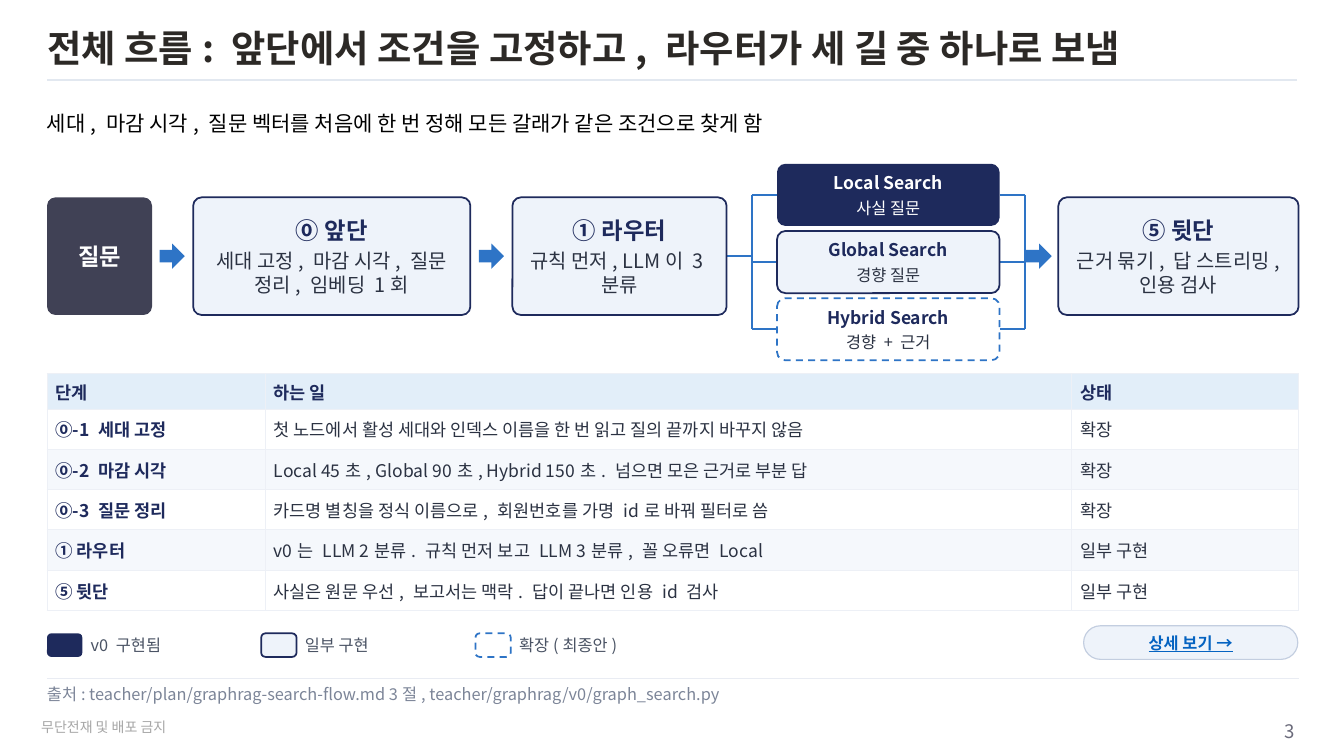
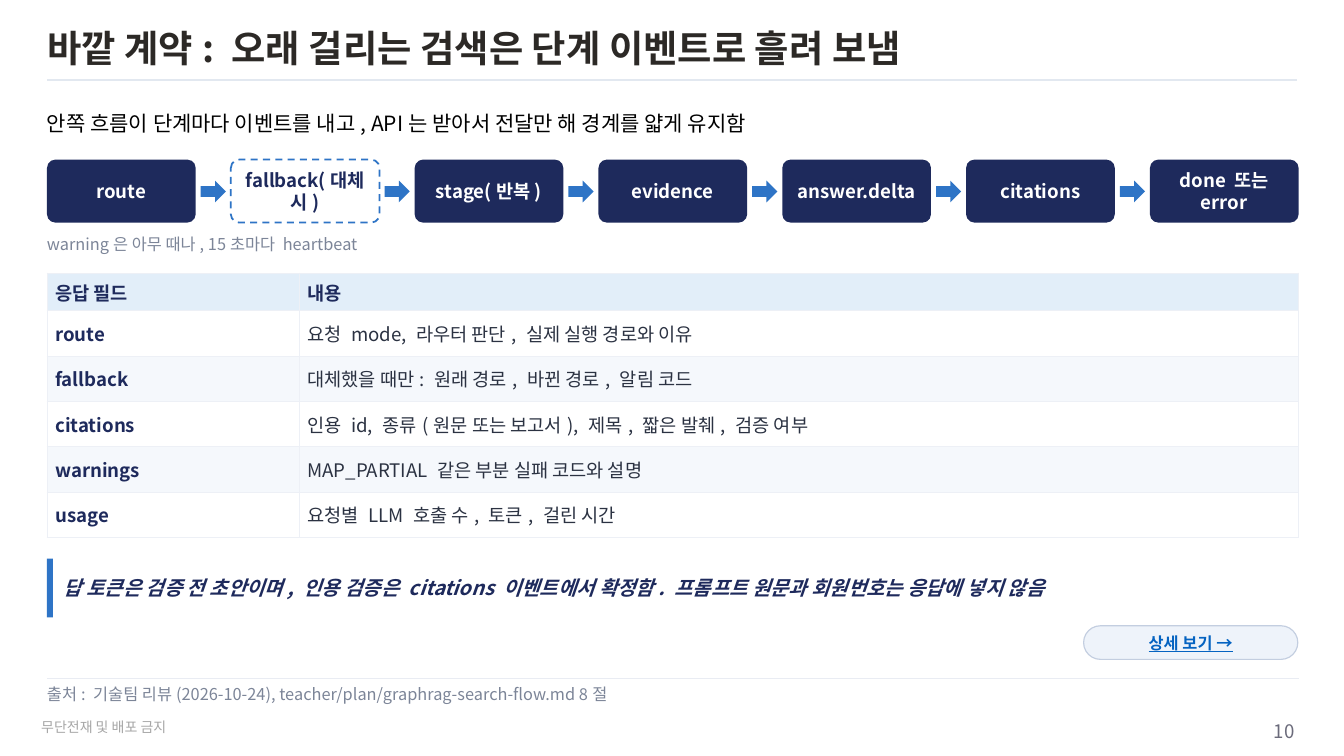
from dataclasses import dataclass
from typing import Optional

from lxml import etree
from pptx import Presentation
from pptx.dml.color import RGBColor
from pptx.enum.dml import MSO_LINE
from pptx.enum.shapes import MSO_CONNECTOR, MSO_SHAPE
from pptx.enum.text import MSO_ANCHOR, MSO_AUTO_SIZE, PP_ALIGN
from pptx.oxml.ns import qn
from pptx.util import Emu, Inches, Pt

COLORS = {
    "title": "2C2926", "black": "000000", "white": "FFFFFF", "navy": "1E2A5C",
    "blue": "2E74C6", "pale": "EEF3FA", "slate": "404155", "ink": "2B3242",
    "legend": "4A5364", "muted": "7C8598", "notice": "A6A6A6", "page": "6B6B7B",
    "link": "0563C1", "pill": "C3CEE0", "title_rule": "E2E8F0",
    "foot_rule": "E9ECF3", "header": "E2EEF9", "band": "F5F8FC", "cell": "EDF0F6",
}
FONT = "Noto Sans CJK KR"
GRID_COLS, GRID_ROWS = 16, 9
LEFT, WIDTH = 0.56, 14.9
RIGHT = LEFT + WIDTH

prs = Presentation()
prs.slide_width, prs.slide_height = Inches(16), Inches(9)


@dataclass(frozen=True)
class Box:
    """A rectangle in grid columns (left, width) and rows (top, height)."""
    left: float
    top: float
    width: float
    height: float

    @property
    def right(self) -> float:
        """Right edge in columns."""
        return self.left + self.width

    @property
    def middle(self) -> float:
        """Vertical middle in rows."""
        return self.top + self.height / 2

    def emu(self) -> tuple:
        """Position and size in slide units."""
        return col(self.left), row(self.top), col(self.width), row(self.height)


@dataclass(frozen=True)
class Type:
    """Character formatting."""
    size: float
    color: str
    bold: bool = False
    italic: bool = False
    underline: bool = False


@dataclass(frozen=True)
class Look:
    """Fill, outline and text colours of a card."""
    fill: str
    line: Optional[str]
    heading: str
    body: str
    dashed: bool = False
    weight: float = 1.5


@dataclass(frozen=True)
class Card:
    """A rounded card with a heading and an optional detail line."""
    box: Box
    look: Look
    heading: str
    detail: str = ""
    sizes: tuple = (20, 17)


@dataclass(frozen=True)
class Grid:
    """A table: column widths, row heights, text size and rows of text."""
    top: float
    widths: tuple
    header_height: float
    row_height: float
    size: float
    rows: tuple


DONE = Look("navy", None, "white", "white")
PARTIAL = Look("pale", "navy", "navy", "ink")
PLANNED = Look("white", "blue", "navy", "ink", dashed=True)
INPUT = Look("slate", None, "white", "white")
PILL = Look("pale", "pill", "link", "link", weight=1)


def col(value: float) -> Emu:
    """Convert grid columns to slide units."""
    return Emu(round(prs.slide_width * value / GRID_COLS))


def row(value: float) -> Emu:
    """Convert grid rows to slide units."""
    return Emu(round(prs.slide_height * value / GRID_ROWS))


def rgb(name: str) -> RGBColor:
    """Look up a palette colour."""
    return RGBColor.from_string(COLORS[name])


def write(paragraph, text: str, style: Type, align=PP_ALIGN.LEFT, after: float = 0) -> None:
    """Put one formatted run into a paragraph."""
    paragraph.alignment = align
    paragraph.space_after = Pt(after)
    run = paragraph.add_run()
    run.text = text
    font = run.font
    font.size, font.bold, font.italic = Pt(style.size), style.bold, style.italic
    font.underline = style.underline
    font.color.rgb = rgb(style.color)
    font.name = FONT
    latin = run._r.rPr.find(qn("a:latin"))
    latin.addnext(etree.Element(qn("a:ea"), typeface=FONT))


def set_frame(frame, margins=(0, 0), anchor=MSO_ANCHOR.MIDDLE) -> None:
    """Set wrapping, anchor and (horizontal, vertical) margins in inches."""
    frame.word_wrap, frame.auto_size = True, MSO_AUTO_SIZE.NONE
    frame.vertical_anchor = anchor
    frame.margin_left = frame.margin_right = Inches(margins[0])
    frame.margin_top = frame.margin_bottom = Inches(margins[1])


def add_text(slide, box: Box, text: str, style: Type, align=PP_ALIGN.LEFT,
             anchor=MSO_ANCHOR.MIDDLE, margins=(0, 0)) -> None:
    """Add a single-paragraph text box."""
    frame = slide.shapes.add_textbox(*box.emu()).text_frame
    set_frame(frame, margins, anchor)
    write(frame.paragraphs[0], text, style, align)


def add_block(slide, kind, box: Box, fill: str):
    """Add a flat preset shape without outline or shadow."""
    shape = slide.shapes.add_shape(kind, *box.emu())
    shape.shadow.inherit = False
    shape.fill.solid()
    shape.fill.fore_color.rgb = rgb(fill)
    shape.line.fill.background()
    return shape


def add_rounded(slide, box: Box, look: Look, radius: float = 0.1):
    """Add a rounded rectangle with a fixed corner radius."""
    shape = add_block(slide, MSO_SHAPE.ROUNDED_RECTANGLE, box, look.fill)
    shape.adjustments[0] = radius / min(box.width, box.height)
    if look.line:
        shape.line.color.rgb = rgb(look.line)
        shape.line.width = Pt(look.weight)
    if look.dashed:
        shape.line.dash_style = MSO_LINE.DASH
    return shape


def add_card(slide, card: Card) -> None:
    """Draw a card with its centred text."""
    frame = add_rounded(slide, card.box, card.look).text_frame
    set_frame(frame, (0.11, 0.07))
    write(frame.paragraphs[0], card.heading,
          Type(card.sizes[0], card.look.heading, bold=True), PP_ALIGN.CENTER, 4)
    if card.detail:
        write(frame.add_paragraph(), card.detail,
              Type(card.sizes[1], card.look.body), PP_ALIGN.CENTER, 2)


def add_arrow(slide, box: Box) -> None:
    """Draw a block arrow pointing right."""
    add_block(slide, MSO_SHAPE.RIGHT_ARROW, box, "blue")


def add_line(slide, x1: float, y1: float, x2: float, y2: float,
             color: str = "blue", weight: float = 2) -> None:
    """Draw a straight line between two grid points."""
    line = slide.shapes.add_connector(MSO_CONNECTOR.STRAIGHT, col(x1), row(y1), col(x2), row(y2))
    line.line.color.rgb = rgb(color)
    line.line.width = Pt(weight)
    etree.SubElement(line._element.spPr, qn("a:effectLst"))


def set_borders(cell, color: str) -> None:
    """Give a cell thin borders on all sides."""
    props = cell._tc.get_or_add_tcPr()
    for index, side in enumerate("LRTB"):
        border = etree.Element(qn(f"a:ln{side}"), w=str(Pt(1)))
        fill = etree.SubElement(border, qn("a:solidFill"))
        etree.SubElement(fill, qn("a:srgbClr"), val=COLORS[color])
        props.insert(index, border)


def add_grid(slide, grid: Grid) -> None:
    """Draw a table with a tinted header and alternating rows."""
    heights = [grid.header_height] + [grid.row_height] * (len(grid.rows) - 1)
    box = Box(LEFT, grid.top, WIDTH, sum(heights))
    table = slide.shapes.add_table(len(heights), len(grid.widths), *box.emu()).table
    table.first_row = table.horz_banding = False
    for column, width in zip(table.columns, grid.widths):
        column.width = col(width)
    for r, (texts, height) in enumerate(zip(grid.rows, heights)):
        table.rows[r].height = row(height)
        fill = "header" if r == 0 else ("white" if r % 2 else "band")
        for c, text in enumerate(texts):
            cell = table.cell(r, c)
            cell.fill.solid()
            cell.fill.fore_color.rgb = rgb(fill)
            set_borders(cell, "cell")
            cell.vertical_anchor = MSO_ANCHOR.MIDDLE
            cell.margin_left = cell.margin_right = Inches(0.1)
            cell.margin_top = cell.margin_bottom = Inches(0.04)
            key = r == 0 or c == 0
            write(cell.text_frame.paragraphs[0], text,
                  Type(grid.size, "navy" if key else "ink", bold=key))


def new_slide(title: str, lead: str, source: str, page: int):
    """Add a slide with the shared title, lead, button and footer."""
    slide = prs.slides.add_slide(prs.slide_layouts[5])
    heading = slide.shapes.title
    heading.left, heading.top, heading.width, heading.height = Box(LEFT, 0.11, 15.03, 0.91).emu()
    set_frame(heading.text_frame)
    write(heading.text_frame.paragraphs[0], title, Type(32, "title", bold=True))
    add_line(slide, LEFT, 0.95, 15.44, 0.95, "title_rule", 1.5)
    add_text(slide, Box(LEFT, 1.26, WIDTH, 0.42), lead, Type(18, "black"))
    button = Box(12.9, 7.45, 2.55, 0.4)
    add_rounded(slide, button, PILL, radius=0.2)
    add_text(slide, button, "상세 보기 →", Type(14, "link", bold=True, underline=True),
             PP_ALIGN.CENTER)
    add_line(slide, LEFT, 8.08, RIGHT, 8.08, "foot_rule", 1)
    add_text(slide, Box(LEFT, 8.14, WIDTH, 0.42), source, Type(14, "muted"),
             anchor=MSO_ANCHOR.TOP)
    add_text(slide, Box(0.49, 8.52, 1.68, 0.27), "무단전재 및 배포 금지", Type(12, "notice"))
    add_text(slide, Box(11.91, 8.52, 3.6, 0.25), str(page), Type(16, "page"),
             PP_ALIGN.RIGHT, MSO_ANCHOR.TOP, (0.1, 0.05))
    return slide


def build_flow() -> None:
    """Build the overall search flow slide."""
    slide = new_slide(
        "전체 흐름: 앞단에서 조건을 고정하고, 라우터가 세 길 중 하나로 보냄",
        "세대, 마감 시각, 질문 벡터를 처음에 한 번 정해 모든 갈래가 같은 조건으로 찾게 함",
        "출처: teacher/plan/graphrag-search-flow.md 3절, teacher/graphrag/v0/graph_search.py", 3)
    question, front, router, back = stages = [
        Card(Box(LEFT, 2.35, 1.25, 1.4), INPUT, "질문"),
        Card(Box(2.3, 2.35, 3.3, 1.4), PARTIAL, "⓪ 앞단",
             "세대 고정, 마감 시각, 질문 정리, 임베딩 1회"),
        Card(Box(6.1, 2.35, 2.55, 1.4), PARTIAL, "① 라우터", "규칙 먼저, LLM이 3분류"),
        Card(Box(12.6, 2.35, 2.86, 1.4), PARTIAL, "⑤ 뒷단",
             "근거 묶기, 답 스트리밍, 인용 검사")]
    searches = (("Local Search", "사실 질문", DONE), ("Global Search", "경향 질문", PARTIAL),
                ("Hybrid Search", "경향 + 근거", PLANNED))
    routes = [Card(Box(9.25, 1.95 + 0.8 * i, 2.65, 0.74), look, name, detail, (15, 14))
              for i, (name, detail, look) in enumerate(searches)]
    stub = 0.3
    fork, join = routes[0].box.left - stub, routes[0].box.right + stub
    add_line(slide, router.box.right, router.box.middle, fork, router.box.middle)
    for x in (fork, join):
        add_line(slide, x, routes[0].box.middle, x, routes[-1].box.middle)
    for route in routes:
        y = route.box.middle
        add_line(slide, fork, y, route.box.left, y)
        add_line(slide, route.box.right, y, join, y)
    for card in stages + routes:
        add_card(slide, card)
    for target, width in ((front, 0.3), (router, 0.3), (back, 0.32)):
        add_arrow(slide, Box(target.box.left - 0.4, question.box.middle - 0.15, width, 0.3))
    add_grid(slide, Grid(4.45, (2.6, 9.6, 2.7), 0.42, 0.48, 15, (
        ("단계", "하는 일", "상태"),
        ("⓪-1 세대 고정", "첫 노드에서 활성 세대와 인덱스 이름을 한 번 읽고 질의 끝까지 바꾸지 않음", "확장"),
        ("⓪-2 마감 시각", "Local 45초, Global 90초, Hybrid 150초. 넘으면 모은 근거로 부분 답", "확장"),
        ("⓪-3 질문 정리", "카드명 별칭을 정식 이름으로, 회원번호를 가명 id로 바꿔 필터로 씀", "확장"),
        ("① 라우터", "v0는 LLM 2분류. 규칙 먼저 보고 LLM 3분류, 꼴 오류면 Local", "일부 구현"),
        ("⑤ 뒷단", "사실은 원문 우선, 보고서는 맥락. 답이 끝나면 인용 id 검사", "일부 구현"))))
    legend = ((DONE, "v0 구현됨"), (PARTIAL, "일부 구현"), (PLANNED, "확장(최종안)"))
    for i, (look, label) in enumerate(legend):
        x = LEFT + 2.55 * i
        add_rounded(slide, Box(x, 7.54, 0.42, 0.28), look, radius=0.05)
        add_text(slide, Box(x + 0.52, 7.5, 1.95, 0.36), label, Type(14, "legend"))


def build_contract() -> None:
    """Build the event contract slide."""
    slide = new_slide(
        "바깥 계약: 오래 걸리는 검색은 단계 이벤트로 흘려 보냄",
        "안쪽 흐름이 단계마다 이벤트를 내고, API는 받아서 전달만 해 경계를 얇게 유지함",
        "출처: 기술팀 리뷰(2026-10-24), teacher/plan/graphrag-search-flow.md 8절", 10)
    events = ("route", "fallback(대체 시)", "stage(반복)", "evidence", "answer.delta",
              "citations", "done 또는 error")
    width = 1.77
    pitch = (WIDTH - width) / (len(events) - 1)
    for i, event in enumerate(events):
        box = Box(LEFT + pitch * i, 1.9, width, 0.75)
        look = PLANNED if event.startswith("fallback") else DONE
        add_card(slide, Card(box, look, event, sizes=(16, 14)))
        if i < len(events) - 1:
            add_arrow(slide, Box(box.right + 0.06, 2.15, 0.3, 0.26))
    add_text(slide, Box(LEFT, 2.73, WIDTH, 0.36), "warning은 아무 때나, 15초마다 heartbeat",
             Type(14, "muted"))
    add_grid(slide, Grid(3.25, (3, 11.9), 0.45, 0.54, 16, (
        ("응답 필드", "내용"),
        ("route", "요청 mode, 라우터 판단, 실제 실행 경로와 이유"),
        ("fallback", "대체했을 때만: 원래 경로, 바뀐 경로, 알림 코드"),
        ("citations", "인용 id, 종류(원문 또는 보고서), 제목, 짧은 발췌, 검증 여부"),
        ("warnings", "MAP_PARTIAL 같은 부분 실패 코드와 설명"),
        ("usage", "요청별 LLM 호출 수, 토큰, 걸린 시간"))))
    add_block(slide, MSO_SHAPE.RECTANGLE, Box(LEFT, 6.65, 0.07, 0.7), "blue")
    add_text(slide, Box(LEFT + 0.2, 6.65, WIDTH - 0.2, 0.7),
             "답 토큰은 검증 전 초안이며, 인용 검증은 citations 이벤트에서 확정함. "
             "프롬프트 원문과 회원번호는 응답에 넣지 않음",
             Type(17, "navy", bold=True, italic=True))


build_flow()
build_contract()
prs.save("out.pptx")
